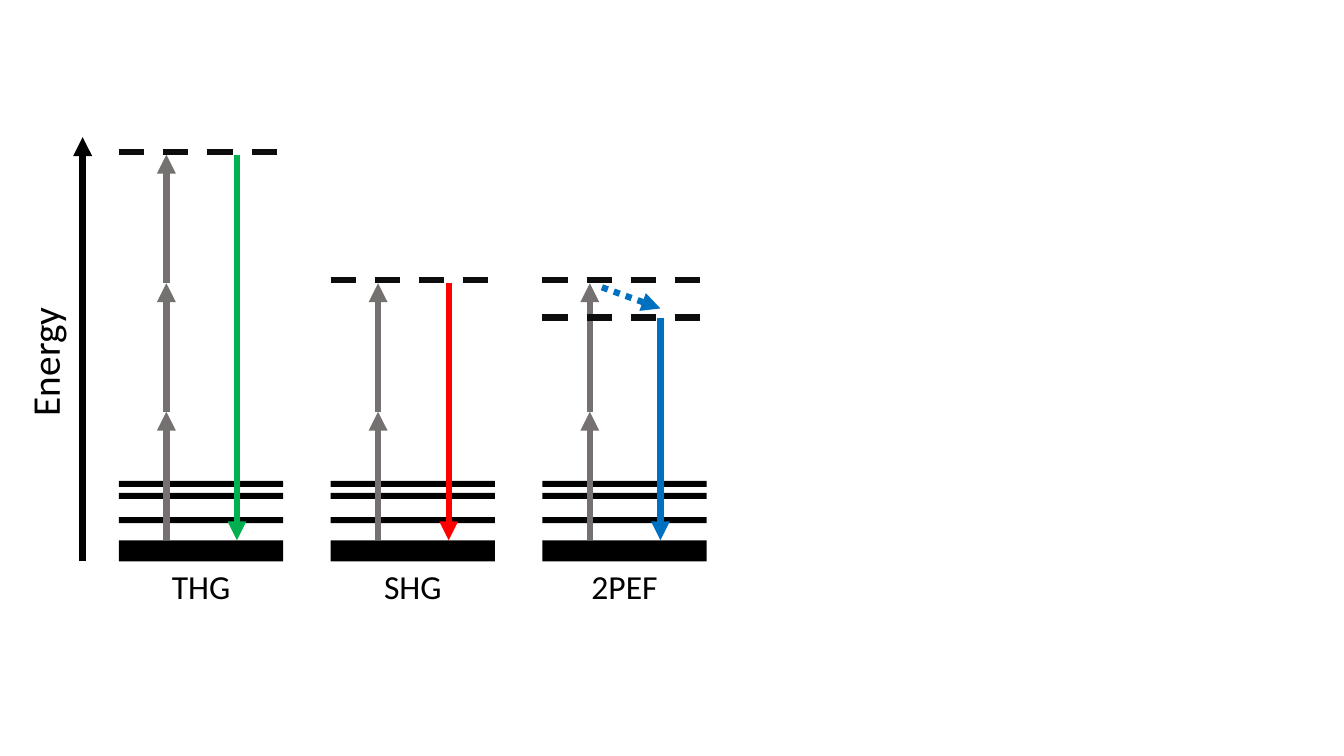
from lxml import etree
from pptx import Presentation
from pptx import util as u
from pptx.dml.color import RGBColor
from pptx.enum import dml, shapes, text
from pptx.oxml import ns

BLACK = RGBColor(0, 0, 0)
DARK = RGBColor(0x0D, 0x0D, 0x0D)
GRAY = RGBColor(0x76, 0x71, 0x71)
GREEN = RGBColor(0, 0xB0, 0x50)
RED = RGBColor(0xFF, 0, 0)
BLUE = RGBColor(0, 0x70, 0xC0)

WIDTH, HEIGHT = 13.33, 7.5
LEFT, PITCH, SPAN = 1.18, 2.1, 1.63
GROUND, STEP, GAP = 5.36, 1.275, 0.03
LEVELS = ((GROUND, 0.21), (5.13, 0.06), (4.89, 0.06), (4.77, 0.06))
UP, DOWN = 0.47, 1.17
RELAXED = 3.15
SCHEMES = (("THG", 3, GREEN), ("SHG", 2, RED), ("2PEF", 2, BLUE))


def bar(slide, x, y, w, h):
    """Draw a solid energy level."""
    box = slide.shapes.add_shape(
        shapes.MSO_SHAPE.RECTANGLE, *map(u.Inches, (x, y, w, h)))
    box.shadow.inherit = False
    box.fill.solid()
    box.fill.fore_color.rgb = BLACK
    box.line.fill.background()


def line(slide, start, end, color, dash=None, arrow=True):
    """Draw a straight line, with an arrowhead at its end if wanted."""
    rule = slide.shapes.add_connector(
        shapes.MSO_CONNECTOR.STRAIGHT, *map(u.Inches, start + end))
    rule.line.color.rgb = color
    for name, value in {"width": u.Pt(4.5), "dash_style": dash}.items():
        setattr(rule.line, name, value)
    if arrow:
        etree.SubElement(rule.line._get_or_add_ln(), ns.qn("a:tailEnd"), type="triangle")
    etree.SubElement(rule._element.spPr, ns.qn("a:effectLst"))


def label(slide, words, x, y, w, h, size, turn=0):
    """Write a centred label around the point x, y."""
    box = slide.shapes.add_textbox(
        *map(u.Inches, (x - w / 2, y - h / 2, w, h)))
    box.rotation = turn
    frame = box.text_frame
    look = {"word_wrap": False, "auto_size": text.MSO_AUTO_SIZE.SHAPE_TO_FIT_TEXT}
    for name, value in look.items():
        setattr(frame, name, value)
    para = frame.paragraphs[0]
    para.alignment = text.PP_ALIGN.CENTER
    run = para.add_run()
    run.text = words
    for name, value in {"name": "Calibri", "size": u.Pt(size)}.items():
        setattr(run.font, name, value)
    run.font.color.rgb = BLACK


def dashes(slide, x, y):
    """Draw a virtual energy level."""
    line(slide, (x, y), (x + SPAN, y), DARK, dml.MSO_LINE.DASH, False)


def scheme(slide, x, name, count, color):
    """Draw the levels, photons and name of one process."""
    for y, h in LEVELS:
        bar(slide, x, y, SPAN, h)
    for i in range(count):
        y = GROUND - i * STEP
        line(slide, (x + UP, y), (x + UP, y - STEP), GRAY)
    top = GROUND - count * STEP
    relaxes = name == "2PEF"
    start = RELAXED if relaxes else top
    line(slide, (x + DOWN, start), (x + DOWN, GROUND), color)
    dashes(slide, x, top - GAP)
    if relaxes:
        dashes(slide, x, RELAXED)
        line(slide, (x + 0.59, 2.85), (x + DOWN, 3.06), color,
             dml.MSO_LINE.ROUND_DOT)
    label(slide, name, x + SPAN / 2, 5.82, 0.86, 0.5, 24)


def main():
    """Build the energy diagram."""
    deck = Presentation()
    deck.slide_width, deck.slide_height = u.Inches(WIDTH), u.Inches(HEIGHT)
    slide = deck.slides.add_slide(deck.slide_layouts[6])
    for i, parts in enumerate(SCHEMES):
        scheme(slide, LEFT + i * PITCH, *parts)
    line(slide, (0.82, 5.57), (0.82, 1.36), BLACK)
    label(slide, "Energy", 0.44, 3.59, 1.29, 0.57, 28, 270)
    deck.save("out.pptx")


main()
